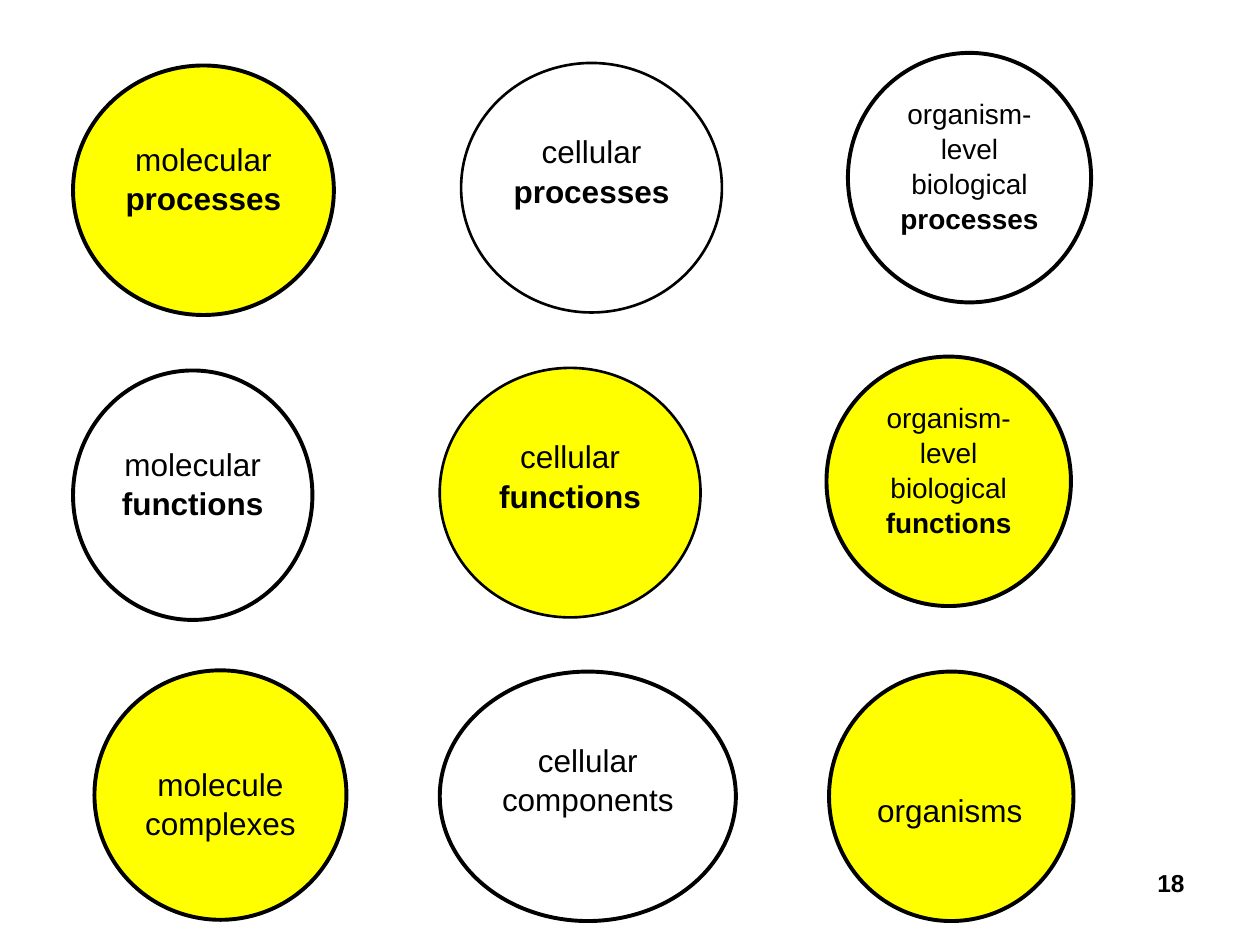
from pptx import Presentation, util as u
from pptx.dml import color
from pptx.enum import shapes, text

PX = 9144
YELLOW, WHITE, BLACK = "FFFF00", "FFFFFF", "000000"
CIRCLE_HEIGHT = 198
CENTER, LEFT, RIGHT = text.PP_ALIGN.CENTER, text.PP_ALIGN.LEFT, text.PP_ALIGN.RIGHT


def px(length):
    return u.Emu(length * PX)


def rgb(value):
    return color.RGBColor.from_string(value)


def assign(target, values):
    for name, value in values.items():
        setattr(target, name, value)


def write_text(frame, paragraphs, size, alignment, top_inset=5):
    assign(frame, {
        "word_wrap": True, "vertical_anchor": text.MSO_ANCHOR.TOP,
        "margin_left": px(10), "margin_right": px(10),
        "margin_top": px(top_inset), "margin_bottom": px(5),
    })
    for index, runs in enumerate(paragraphs):
        paragraph = frame.paragraphs[0] if index == 0 else frame.add_paragraph()
        assign(paragraph, {"alignment": alignment, "line_spacing": 1.04})
        for words, bold in runs:
            run = paragraph.add_run()
            run.text = words
            assign(run.font, {"name": "Arial", "size": u.Pt(size), "bold": bold})
            run.font.color.rgb = rgb(BLACK)


def add_circle(parent, box, fill, paragraphs, top_inset, size=18, line=2.25, alignment=CENTER):
    shape = parent.add_shape(shapes.MSO_SHAPE.OVAL, *map(px, box))
    shape.shadow.inherit = False
    shape.fill.solid()
    shape.fill.fore_color.rgb = rgb(fill)
    shape.line.color.rgb = rgb(BLACK)
    shape.line.width = u.Pt(line)
    write_text(shape.text_frame, paragraphs, size, alignment, top_inset)


def add_level_row(slide, left, top, kind, circles):
    group = slide.shapes.add_group_shape().shapes
    strong = (kind, True)
    levels = [
        ([[("molecular ", False), strong]], {"top_inset": 29}),
        ([[("cellular", False)], [strong]], {"top_inset": 25, "line": 1.5}),
        ([[("organism-level", False)], [("biological ", False), strong]],
         {"top_inset": 5, "size": 16}),
    ]
    for (x, y, width, fill), (paragraphs, style) in zip(circles, levels):
        box = (left + x, top + y, width, CIRCLE_HEIGHT)
        add_circle(group, box, fill, paragraphs, **style)


def add_entity_row(slide, left, top):
    entities = [
        (0, -1, 200, YELLOW, ["molecule", "complexes"], 45, CENTER),
        (274, 0, 235, WHITE, ["cellular components"], 25, CENTER),
        (583, 0, 194, YELLOW, ["organisms"], 65, LEFT),
    ]
    for x, y, width, fill, lines, top_inset, alignment in entities:
        box = (left + x, top + y, width, CIRCLE_HEIGHT)
        paragraphs = [[(line, False)] for line in lines]
        add_circle(slide.shapes, box, fill, paragraphs, top_inset, alignment=alignment)


def add_slide_number(slide, box, number):
    shape = slide.shapes.add_textbox(*map(px, box))
    write_text(shape.text_frame, [[(number, True)]], 14, RIGHT)


def main():
    presentation = Presentation()
    assign(presentation, {"slide_width": px(1000), "slide_height": px(750)})
    slide = presentation.slides.add_slide(presentation.slide_layouts[6])
    add_slide_number(slide, (717, 683, 233, 52), "18")
    add_entity_row(slide, 75, 533)
    add_level_row(slide, 58, 283, "functions",
                  [(0, 11, 190, WHITE), (291, 9, 207, YELLOW), (598, 0, 194, YELLOW)])
    add_level_row(slide, 58, 42, "processes",
                  [(0, 10, 207, YELLOW), (308, 8, 207, WHITE), (615, 0, 193, WHITE)])
    presentation.save("out.pptx")


if __name__ == "__main__":
    main()
